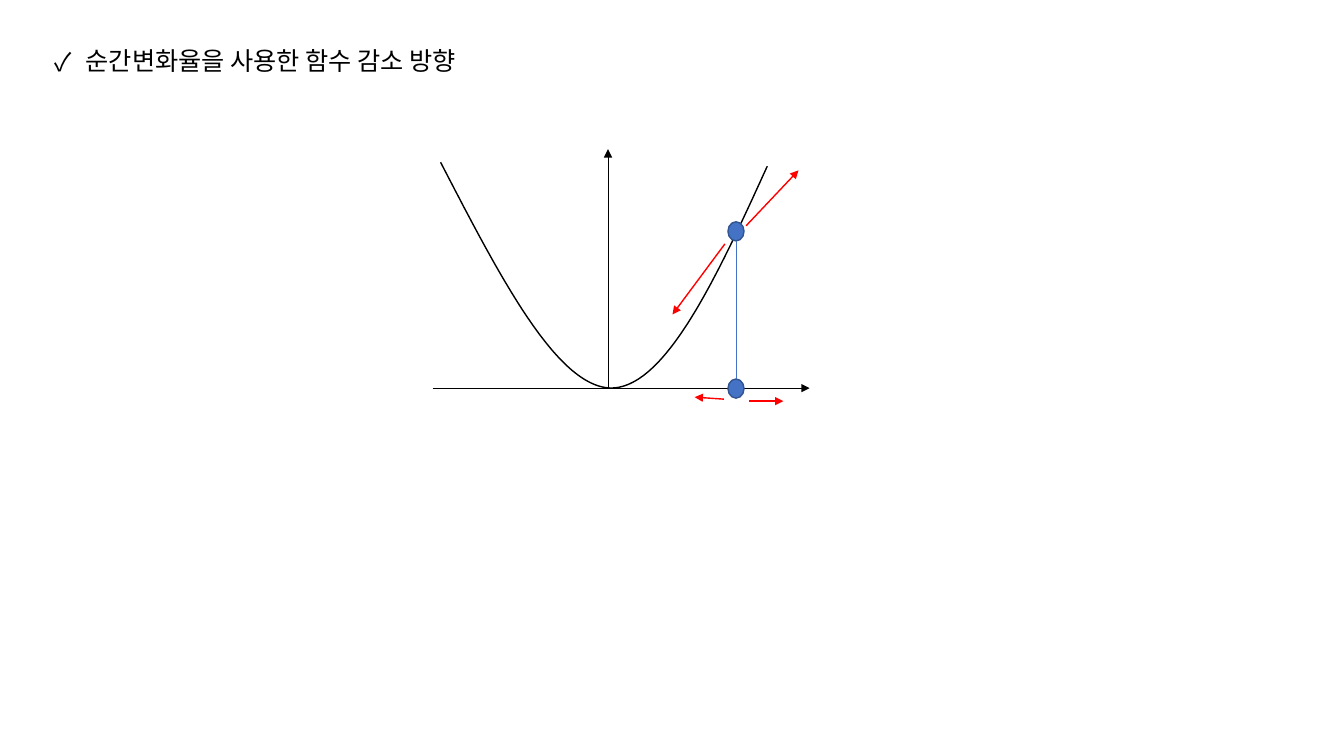
"""Build a slide on choosing the descent direction of a function from its derivative."""
from dataclasses import dataclass

from lxml.etree import SubElement
from pptx import Presentation
from pptx.dml.color import RGBColor
from pptx.enum.shapes import MSO_CONNECTOR, MSO_SHAPE
from pptx.enum.text import MSO_ANCHOR, MSO_AUTO_SIZE, PP_ALIGN
from pptx.oxml.ns import qn
from pptx.util import Inches, Pt

FONT = "Noto Sans CJK KR"
BLACK, RED, BLUE, NAVY = "000000", "FF0000", "4472C4", "325491"
STEPS = 60
POINT_W, POINT_H = 0.16, 0.19

Point = tuple[float, float]


@dataclass(frozen=True)
class Line:
    start: Point
    end: Point
    color: str
    width: float
    arrow: bool = True


AXES = [
    Line((6.03, 3.85), (6.03, 1.48), BLACK, 0.5),
    Line((4.29, 3.85), (8.03, 3.85), BLACK, 0.5),
]
CURVE = [
    [(4.37, 1.61), (4.95, 2.73), (5.52, 3.84), (6.06, 3.85)],
    [(6.06, 3.85), (6.6, 3.85), (7.11, 2.75), (7.61, 1.65)],
]
POINTS = [(7.22, 3.76), (7.22, 2.2)]
DIRECTIONS = [
    Line((7.3, 2.39), (7.3, 3.76), BLUE, 0.5, arrow=False),
    Line((7.19, 2.42), (6.67, 3.12), RED, 1),
    Line((7.4, 2.24), (7.92, 1.69), RED, 1),
    Line((7.18, 3.96), (6.89, 3.94), RED, 1),
    Line((7.43, 3.98), (7.77, 3.98), RED, 1),
]


def rgb(value: str) -> RGBColor:
    return RGBColor.from_string(value)


def set_title(slide, text: str) -> None:
    sp = slide.shapes.title
    sp.left, sp.top, sp.width, sp.height = map(Inches, (0.44, 0.4, 4.66, 0.4))
    tf = sp.text_frame
    tf.word_wrap = False
    tf.auto_size = MSO_AUTO_SIZE.SHAPE_TO_FIT_TEXT
    tf.vertical_anchor = MSO_ANCHOR.TOP
    p = tf.paragraphs[0]
    p.alignment = PP_ALIGN.LEFT
    props = p._p.get_or_add_pPr()
    props.set("marL", str(Inches(0.31)))
    props.set("indent", str(-Inches(0.31)))
    SubElement(props, qn("a:buFont"), typeface=FONT)
    SubElement(props, qn("a:buChar"), char="✓")
    r = p.add_run()
    r.text = text
    r.font.size = Pt(18)
    r.font.name = FONT
    r.font.color.rgb = rgb(BLACK)
    SubElement(r._r.get_or_add_rPr(), qn("a:ea"), typeface=FONT)


def add_line(slide, line: Line) -> None:
    ends = map(Inches, (*line.start, *line.end))
    cxn = slide.shapes.add_connector(MSO_CONNECTOR.STRAIGHT, *ends)
    cxn.line.color.rgb = rgb(line.color)
    cxn.line.width = Pt(line.width)
    if line.arrow:
        SubElement(cxn.line._get_or_add_ln(), qn("a:tailEnd"), type="triangle")
    SubElement(cxn._element.spPr, qn("a:effectLst"))


def bezier(controls: list[Point], t: float) -> Point:
    u = 1 - t
    weights = (u**3, 3 * u * u * t, 3 * u * t * t, t**3)
    x, y = (sum(w * c for w, c in zip(weights, axis)) for axis in zip(*controls))
    return Inches(x), Inches(y)


def add_curve(slide, segments: list[list[Point]]) -> None:
    x, y = bezier(segments[0], 0)
    builder = slide.shapes.build_freeform(x, y)
    vertices = [bezier(seg, i / STEPS) for seg in segments for i in range(1, STEPS + 1)]
    builder.add_line_segments(vertices, close=False)
    sp = builder.convert_to_shape()
    sp.shadow.inherit = False
    sp.fill.background()
    sp.line.color.rgb = rgb(BLACK)
    sp.line.width = Pt(1)


def add_point(slide, corner: Point) -> None:
    box = map(Inches, (*corner, POINT_W, POINT_H))
    sp = slide.shapes.add_shape(MSO_SHAPE.OVAL, *box)
    sp.shadow.inherit = False
    sp.fill.solid()
    sp.fill.fore_color.rgb = rgb(BLUE)
    sp.line.color.rgb = rgb(NAVY)
    sp.line.width = Pt(1)


def main() -> None:
    prs = Presentation()
    prs.slide_width, prs.slide_height = Inches(13.33), Inches(7.5)
    slide = prs.slides.add_slide(prs.slide_layouts[5])
    set_title(slide, "순간변화율을 사용한 함수 감소 방향")
    for axis in AXES:
        add_line(slide, axis)
    add_curve(slide, CURVE)
    for corner in POINTS:
        add_point(slide, corner)
    for direction in DIRECTIONS:
        add_line(slide, direction)
    prs.save("out.pptx")


if __name__ == "__main__":
    main()
